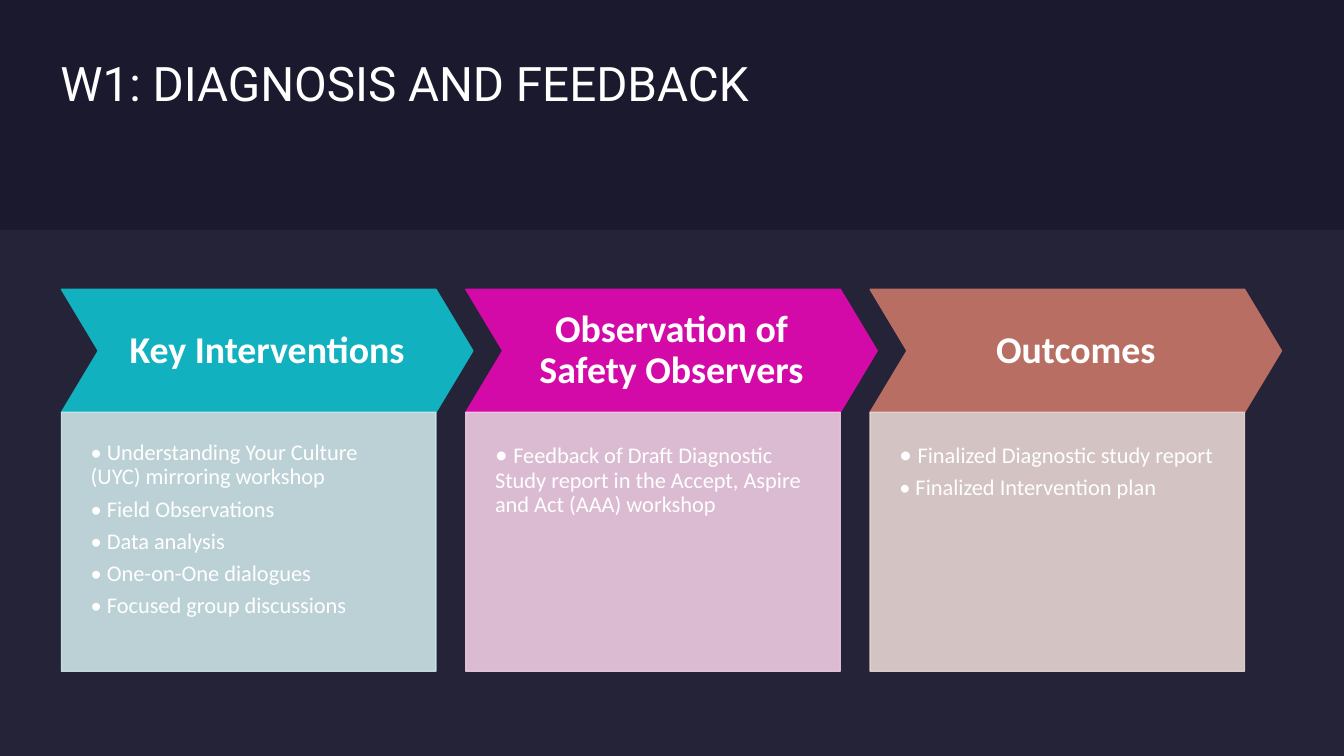
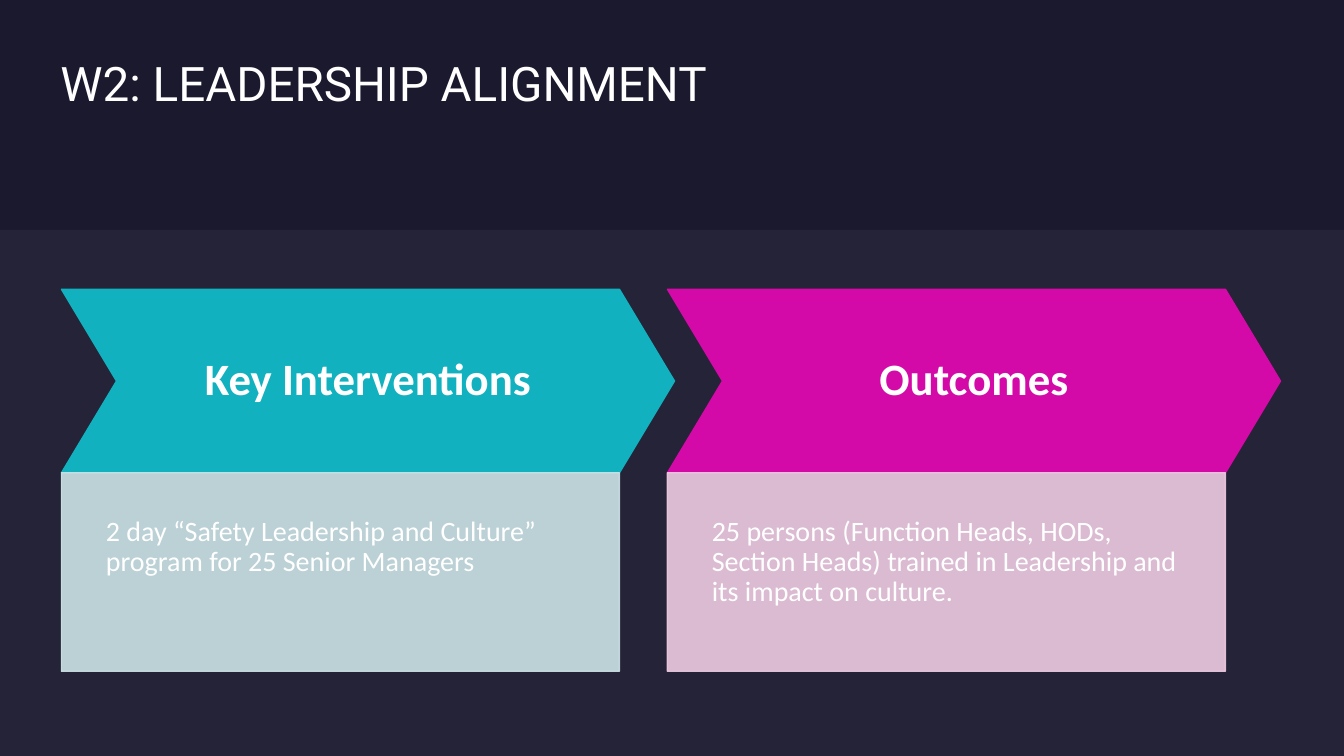
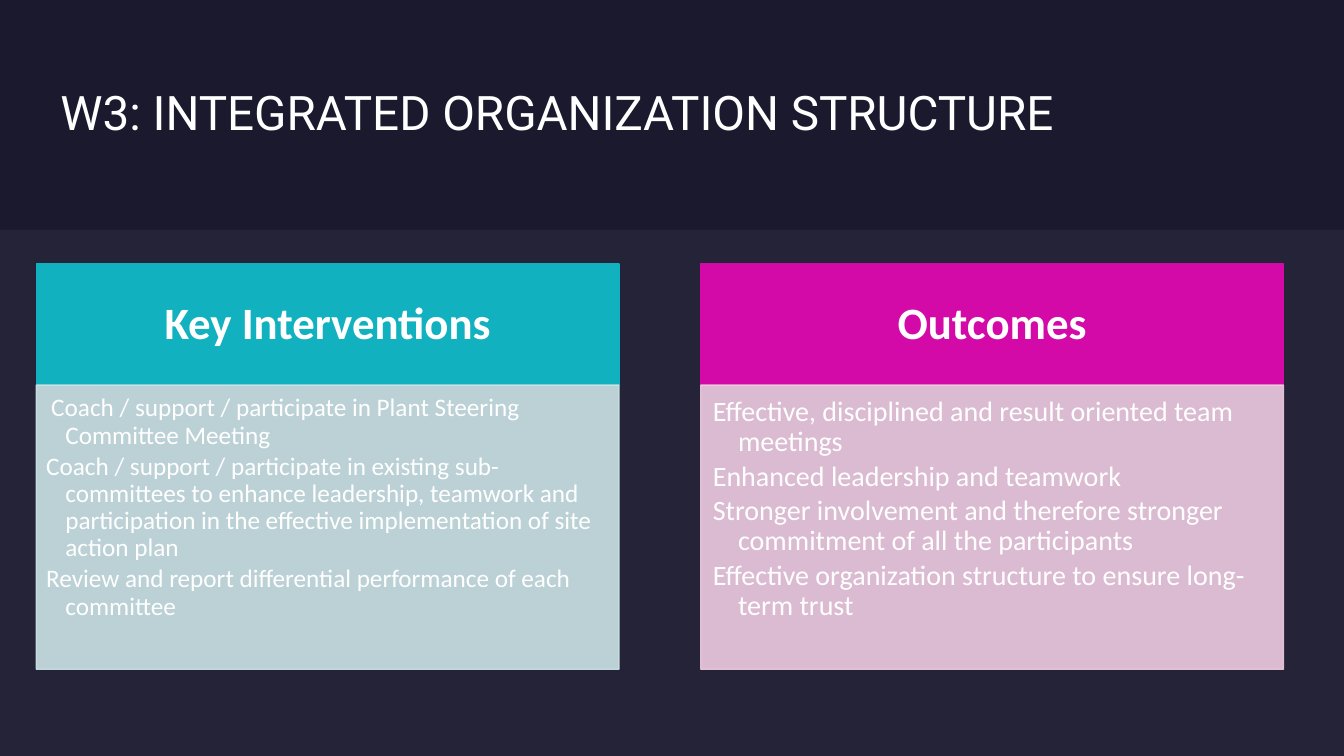
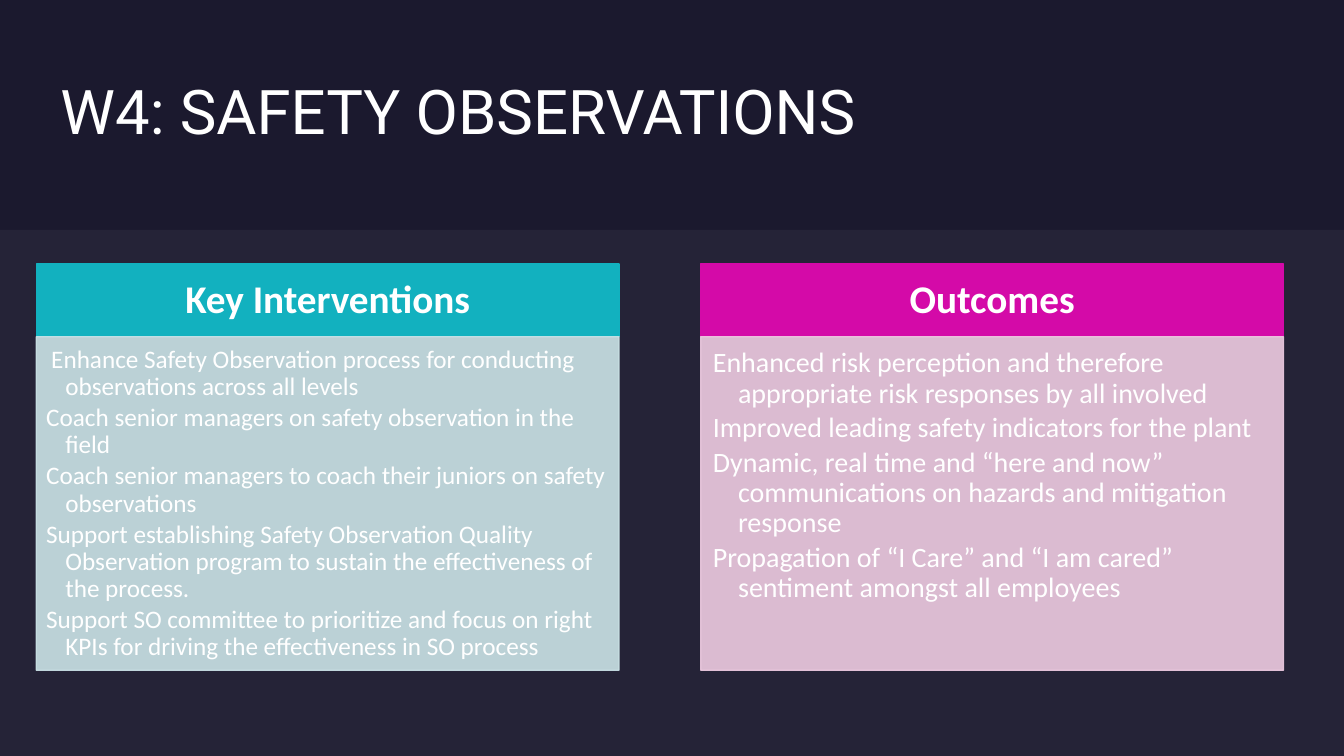
from dataclasses import dataclass

from lxml.etree import SubElement
from pptx import Presentation
from pptx.dml.color import RGBColor
from pptx.enum.shapes import MSO_SHAPE
from pptx.enum.text import MSO_ANCHOR, PP_ALIGN
from pptx.oxml.ns import qn
from pptx.util import Inches, Pt


@dataclass(frozen=True)
class Theme:
    background: str = "1B192E"
    band: str = "E4E3F0"
    text: str = "FFFFFF"
    headings: tuple = ("12B1BF", "D40AA8", "B86E62")
    bodies: tuple = ("CCE4E8", "EFCCE2", "E6D5D3")
    title_font: str = "Roboto"
    body_font: str = "Calibri"
    title_size: int = 34
    large_title_size: int = 44
    line_spacing: float = 0.9
    band_opacity: int = 5
    body_opacity: int = 90


THEME = Theme()
CHEVRON_POINT = 0.3


def add_panel(slide, preset, box, color, opacity=100, outlined=True):
    """Add a filled shape; opacity in percent applies to fill and outline."""
    panel = slide.shapes.add_shape(preset, *(Inches(length) for length in box))
    panel.shadow.inherit = False
    panel.fill.solid()
    panel.fill.fore_color.rgb = RGBColor.from_string(color)
    if outlined:
        panel.line.color.rgb = RGBColor.from_string(color)
        panel.line.width = Pt(1)
    else:
        panel.line.fill.background()
    if opacity < 100:
        for solid_color in panel._element.spPr.iter(qn("a:srgbClr")):
            SubElement(solid_color, qn("a:alpha"), val=str(opacity * 1000))
    return panel


def set_frame(frame, paragraphs, insets, size, font=THEME.body_font, bold=False,
              anchor=MSO_ANCHOR.MIDDLE, align=PP_ALIGN.LEFT):
    """Fill a text frame; insets run left, top, right, bottom."""
    frame.word_wrap = True
    frame.vertical_anchor = anchor
    (frame.margin_left, frame.margin_top,
     frame.margin_right, frame.margin_bottom) = (Inches(inset) for inset in insets)
    frame.text = "\n".join(paragraphs)
    for paragraph in frame.paragraphs:
        paragraph.alignment = align
        paragraph.line_spacing = THEME.line_spacing
        paragraph.font.size = Pt(size)
        paragraph.font.name = font
        paragraph.font.bold = bold
        paragraph.font.color.rgb = RGBColor.from_string(THEME.text)


chevron_row = dict(preset=MSO_SHAPE.CHEVRON, left=0.61, top=2.87, space_after=0.35)
card_row = dict(preset=MSO_SHAPE.RECTANGLE, left=0.36, top=2.62, step=6.59, width=5.78,
                space_after=0.15, body_sizes=(18, 20), hangs=(0.19, 0.25),
                first_lines=(-0.14, -0.25),
                body_insets=((0.1, 0.1, 0.13, 0.15), (0.12, 0.12, 0.16, 0.17)))

workstreams = [
    dict(chevron_row, title="W1: DIAGNOSIS AND FEEDBACK", title_height=0.51,
         step=4.01, width=4.08, heading_height=1.22, body_height=2.57,
         heading_size=27, heading_insets=(0.15,) * 4,
         body_sizes=(16,) * 3, body_insets=((0.29, 0.29, 0.29, 0.59),) * 3,
         bullet_sizes=(16, 18, 18),
         columns=[
             ("Key Interventions", [
                 "• Understanding Your Culture (UYC) mirroring workshop",
                 "• Field Observations",
                 "• Data analysis",
                 "• One-on-One dialogues",
                 "• Focused group discussions"]),
             ("Observation of Safety Observers", [
                 "• Feedback of Draft Diagnostic Study report in the Accept, Aspire "
                 "and Act (AAA) workshop"]),
             ("Outcomes", [
                 "• Finalized Diagnostic study report",
                 "• Finalized Intervention plan"])]),
    dict(chevron_row, title="W2: LEADERSHIP ALIGNMENT", title_height=0.51,
         step=6.01, width=6.08, heading_height=1.82, body_height=1.97,
         heading_size=32, heading_insets=(0.23,) * 4,
         body_sizes=(20,) * 2, body_insets=((0.44, 0.44, 0.44, 0.87),) * 2,
         columns=[
             ("Key Interventions", [
                 "2 day “Safety Leadership and Culture” program for 25 Senior Managers"]),
             ("Outcomes", [
                 "25 persons (Function Heads, HODs, Section Heads) trained in Leadership "
                 "and its impact on culture."])]),
    dict(card_row, title="W3: INTEGRATED ORGANIZATION STRUCTURE",
         heading_height=1.2, body_height=2.82,
         heading_size=32, heading_insets=(0.25, 0.14, 0.25, 0.14),
         columns=[
             ("Key Interventions", [
                 "Coach / support / participate in Plant Steering Committee Meeting",
                 "Coach / support / participate in existing sub-committees to enhance "
                 "leadership, teamwork and participation in the effective implementation "
                 "of site action plan",
                 "Review and report differential performance of each committee"]),
             ("Outcomes", [
                 "Effective, disciplined and result oriented team meetings",
                 "Enhanced leadership and teamwork",
                 "Stronger involvement and therefore stronger commitment of all the "
                 "participants",
                 "Effective organization structure to ensure long-term trust"])]),
    dict(card_row, title="W4: SAFETY OBSERVATIONS", title_size=THEME.large_title_size,
         heading_height=0.72, body_height=3.31,
         heading_size=28, heading_insets=(0.22, 0.12, 0.22, 0.12),
         columns=[
             ("Key Interventions", [
                 "Enhance Safety Observation process for conducting observations across "
                 "all levels",
                 "Coach senior managers on safety observation in the field",
                 "Coach senior managers to coach their juniors on safety observations",
                 "Support establishing Safety Observation Quality Observation program to "
                 "sustain the effectiveness of the process.",
                 "Support SO committee to prioritize and focus on right KPIs for driving "
                 "the effectiveness in SO process"]),
             ("Outcomes", [
                 "Enhanced risk perception and therefore appropriate risk responses by "
                 "all involved",
                 "Improved leading safety indicators for the plant",
                 "Dynamic, real time and “here and now” communications on hazards and "
                 "mitigation response",
                 "Propagation of “I Care” and “I am cared” sentiment amongst all "
                 "employees"])]),
]

deck = Presentation()
deck.slide_width, deck.slide_height = Inches(13.33), Inches(7.5)
blank_layout = deck.slide_layouts[6]

for stream in workstreams:
    slide = deck.slides.add_slide(blank_layout)
    slide.background.fill.solid()
    slide.background.fill.fore_color.rgb = RGBColor.from_string(THEME.background)

    title = slide.shapes.add_textbox(Inches(0.6), Inches(0.6), Inches(11.19),
                                     Inches(stream.get("title_height", 1.08)))
    set_frame(title.text_frame, [stream["title"]], (0,) * 4,
              stream.get("title_size", THEME.title_size), THEME.title_font)
    add_panel(slide, MSO_SHAPE.RECTANGLE, (0, 2.28, 13.33, 5.22), THEME.band,
              THEME.band_opacity, outlined=False)

    heading_height = stream["heading_height"]
    for index, (heading_text, points) in enumerate(stream["columns"]):
        left = stream["left"] + index * stream["step"]
        heading = add_panel(slide, stream["preset"],
                            (left, stream["top"], stream["width"], heading_height),
                            THEME.headings[index])
        body_width = stream["width"]
        if stream["preset"] == MSO_SHAPE.CHEVRON:
            heading.adjustments[0] = CHEVRON_POINT
            body_width -= CHEVRON_POINT * heading_height
        set_frame(heading.text_frame, [heading_text], stream["heading_insets"],
                  stream["heading_size"], bold=True, align=PP_ALIGN.CENTER)

        body = add_panel(slide, MSO_SHAPE.RECTANGLE,
                         (left, stream["top"] + heading_height, body_width,
                          stream["body_height"]),
                         THEME.bodies[index], THEME.body_opacity)
        body_size = stream["body_sizes"][index]
        set_frame(body.text_frame, points, stream["body_insets"][index], body_size,
                  anchor=MSO_ANCHOR.TOP)
        paragraphs = body.text_frame.paragraphs
        for paragraph in paragraphs:
            paragraph.space_after = Pt(stream["space_after"] * body_size)

        if "hangs" in stream:
            hang = stream["hangs"][index]
            for position, paragraph in enumerate(paragraphs):
                first_line = stream["first_lines"][index] if position == 0 else -hang
                properties = paragraph._p.get_or_add_pPr()
                properties.set("marL", str(Inches(hang)))
                properties.set("indent", str(Inches(first_line)))

        if "bullet_sizes" in stream:
            bullet = paragraphs[0].runs[0]
            bullet.text = "• "
            bullet.font.size = Pt(stream["bullet_sizes"][index])
            paragraphs[0].add_run().text = points[0].removeprefix("• ")

deck.save("out.pptx")
